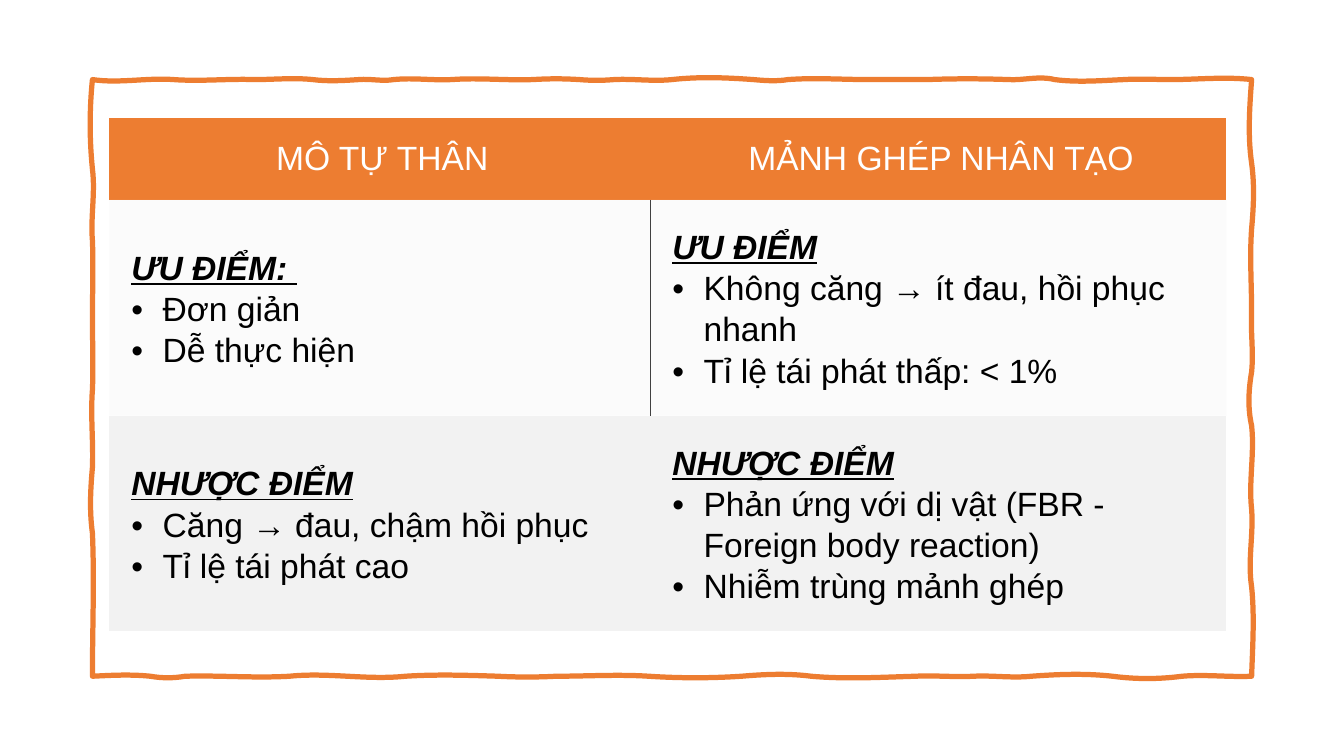
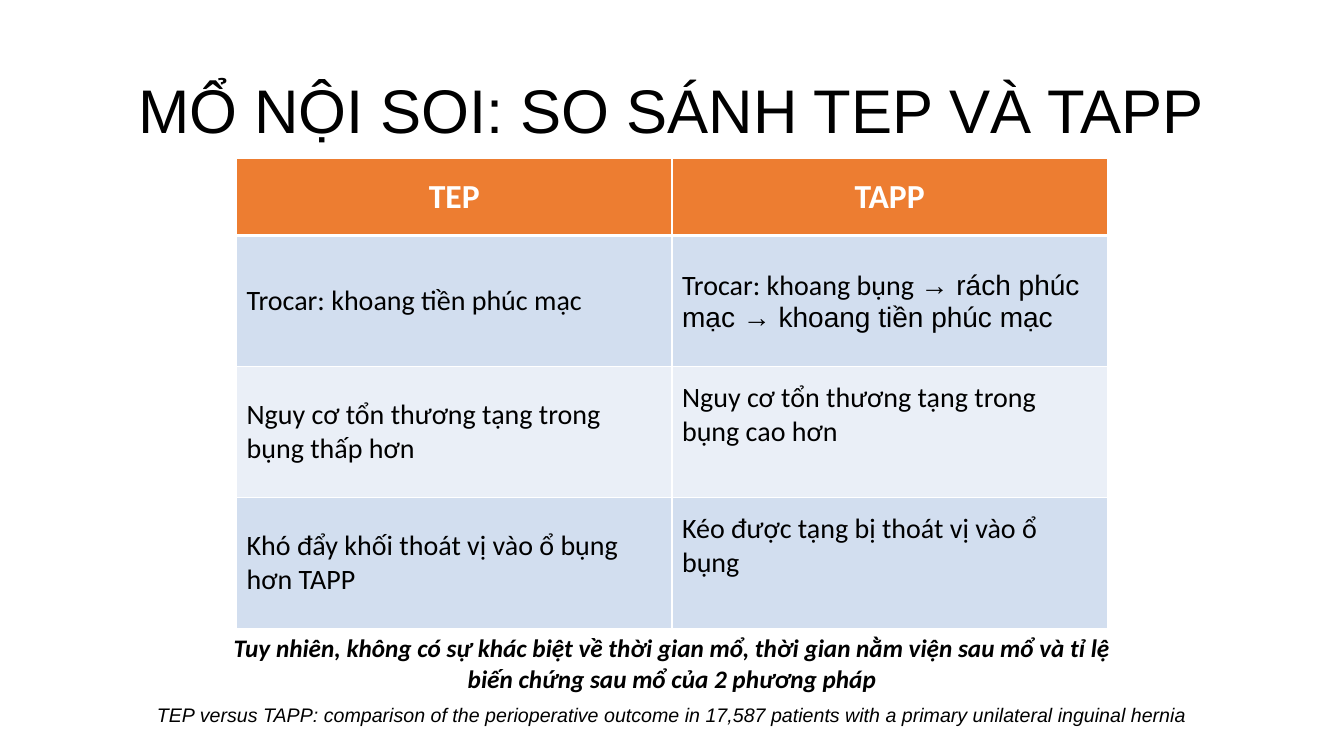
"""Build two slides that compare hernia repair techniques."""
from lxml import etree
from pptx import Presentation
from pptx import util as u
from pptx.dml.color import RGBColor
from pptx.enum import text
from pptx.oxml.ns import qn

ORANGE = RGBColor(0xED, 0x7D, 0x31)
WHITE = RGBColor(0xFF, 0xFF, 0xFF)
BLACK = RGBColor(0, 0, 0)
GREY = RGBColor(0xF2, 0xF2, 0xF2)
RULE = RGBColor(0x40, 0x40, 0x40)
BLUE = RGBColor(0xD2, 0xDE, 0xEF)
PALE_BLUE = RGBColor(0xEA, 0xEF, 0xF7)
SANS, BODY = "Arial", "Calibri"
CENTER = text.PP_ALIGN.CENTER
MIDDLE = text.MSO_ANCHOR.MIDDLE

WIDTH, HEIGHT = u.Inches(40 / 3), u.Inches(7.5)
COLUMN, ROW = WIDTH / 100, HEIGHT / 100

FRAME_BOX = (6.88, 10.53, 86.25, 78.93)
BOTTOM_WAVE = [(5, -1, -2), (8, 2, 2), (17, -1, 2), (22, -2, -1), (27, 1, 2), (35, -2, -1),
               (40, 1, 1), (48, 0, -2), (56, 2, 2), (62, -2, -3), (71, 3, 1), (76, -1, 1),
               (81, -1, 2), (88, -2, -3), (94, 3, 3), (100, -2, 1)]
RIGHT_WAVE = [(15, 1, 3), (28, -4, 2), (42, -3, 3), (51, -4, -3), (61, 2, -1), (75, 0, -2),
              (86, 2, 3), (100, -4, -2)]
TOP_WAVE = [(7, -3, 0), (11, 0, -1), (17, 1, 3), (21, -4, 1), (28, -1, -1), (33, 0, 0),
            (40, 0, -2), (43, 2, 1), (50, -2, -3), (55, 2, -1), (58, 1, 1), (62, -1, -1),
            (69, 1, -2), (74, 1, -2), (77, 2, -1), (81, 1, 2), (86, -2, 0), (93, -1, 2),
            (100, -2, 4)]
LEFT_WAVE = [(15, -3, -3), (27, 3, -2), (40, 1, 0), (52, 0, 1), (65, -2, 1), (76, -2, -3),
             (100, 2, 0)]

MESH_HEADS = ["MÔ TỰ THÂN", "MẢNH GHÉP NHÂN TẠO"]
MESH_ROWS = [
    [("ƯU ĐIỂM: ", "Đơn giản", "Dễ thực hiện"),
     ("ƯU ĐIỂM", "Không căng → ít đau, hồi phục nhanh", "Tỉ lệ tái phát thấp: < 1%")],
    [("NHƯỢC ĐIỂM", "Căng → đau, chậm hồi phục", "Tỉ lệ tái phát cao"),
     ("NHƯỢC ĐIỂM", "Phản ứng với dị vật (FBR - Foreign body reaction)",
      "Nhiễm trùng mảnh ghép")],
]
SCOPE_HEADS = ["TEP", "TAPP"]
SCOPE_ROWS = [
    ["Trocar: khoang tiền phúc mạc",
     ("Trocar: khoang bụng ", "→ rách phúc mạc → khoang tiền phúc mạc")],
    ["Nguy cơ tổn thương tạng trong bụng thấp hơn", "Nguy cơ tổn thương tạng trong bụng cao hơn"],
    ["Khó đẩy khối thoát vị vào ổ bụng hơn TAPP", "Kéo được tạng bị thoát vị vào ổ bụng"],
]


def place(box):
    """Turn a box in grid columns and rows into slide lengths."""
    left, top, width, height = box
    return [round(n) for n in (left * COLUMN, top * ROW, width * COLUMN, height * ROW)]


def style(para, size, name, color=BLACK, bold=False, italic=False, align=None):
    """Set the font and alignment of a paragraph."""
    para.alignment = align
    font = para.font
    font.size, font.name, font.bold, font.italic = u.Pt(size), name, bold, italic
    font.color.rgb = color


def text_box(page, box, words, size, **look):
    """Place one centred line of text in a box."""
    frame = page.shapes.add_textbox(*place(box)).text_frame
    frame.word_wrap = True
    para = frame.paragraphs[0]
    para.text = words
    style(para, size, SANS, align=CENTER, **look)
    return frame


def add_grid(page, box, widths, heights):
    """Add a plain table whose columns and rows share the box by weight."""
    left, top, width, height = place(box)
    table = page.shapes.add_table(len(heights), len(widths), left, top, width, height).table
    table.first_row = table.horz_banding = False
    for column, weight in zip(table.columns, widths):
        column.width = round(width * weight / sum(widths))
    for row, weight in zip(table.rows, heights):
        row.height = round(height * weight / sum(heights))
    return table


def paint(cell, color, opacity=100):
    """Fill a cell, with an opacity in percent."""
    cell.fill.solid()
    cell.fill.fore_color.rgb = color
    if opacity < 100:
        tint = cell._tc.tcPr.find(qn("a:solidFill")).find(qn("a:srgbClr"))
        etree.SubElement(tint, qn("a:alpha"), val=str(opacity * 1000))


def edge(cell, color, left=0, right=0, top=0, bottom=0):
    """Draw the four borders of a cell, where a zero width hides one."""
    properties = cell._tc.get_or_add_tcPr()
    for index, (side, width) in enumerate(zip("LRTB", (left, right, top, bottom))):
        line = etree.Element(qn("a:ln" + side), w=str(u.Pt(width)))
        if width:
            fill = etree.SubElement(line, qn("a:solidFill"))
            etree.SubElement(fill, qn("a:srgbClr"), val=str(color))
        else:
            etree.SubElement(line, qn("a:noFill"))
        properties.insert(index, line)


def bullet(para, indent):
    """Give a paragraph a round bullet with a hanging indent."""
    properties = para._p.get_or_add_pPr()
    properties.set("marL", str(indent))
    properties.set("indent", str(-indent))
    etree.SubElement(properties, qn("a:buFont"), typeface=SANS)
    etree.SubElement(properties, qn("a:buChar"), char="•")


def wavy_side(start, end, wave):
    """List the curves of one side, each as two controls and an end point."""
    across = (0, 1) if start[1] == end[1] else (1, 0)

    def point(share, offset=0):
        """Find the point at a share of the side, moved off its line."""
        return tuple(round(a + (b - a) * share / 100 + u.Inches(offset / 100) * axis)
                     for a, b, axis in zip(start, end, across))

    curves, last = [], 0
    for stop, first, second in wave:
        third = (stop - last) / 3
        curves.append((point(last + third, first), point(stop - third, second), point(stop)))
        last = stop
    return curves


def sketch_frame(page, box):
    """Draw a hand-drawn outline around the box."""
    left, top, width, height = place(box)
    right, bottom = left + width, top + height
    corners = [(left, bottom), (right, bottom), (right, top), (left, top)]
    waves = (BOTTOM_WAVE, RIGHT_WAVE, TOP_WAVE, LEFT_WAVE)
    curves = [curve for start, end, wave in zip(corners, corners[1:] + corners[:1], waves)
              for curve in wavy_side(start, end, wave)]
    builder = page.shapes.build_freeform(*corners[0])
    builder.add_line_segments([curve[-1] for curve in curves], close=True)
    shape = builder.convert_to_shape()
    for segment, curve in zip(list(shape._element.iter(qn("a:lnTo"))), curves):
        segment.tag = qn("a:cubicBezTo")
        for index, (x, y) in enumerate(curve[:2]):
            control = etree.Element(qn("a:pt"), x=str(x - left), y=str(y - top))
            segment.insert(index, control)
    shape.shadow.inherit = False
    shape.fill.background()
    shape.line.color.rgb = ORANGE
    shape.line.width = u.Pt(3.75)


def pad(cell):
    """Centre the text of a cell vertically inside wide margins."""
    cell.vertical_anchor = MIDDLE
    cell.margin_left = u.Inches(0.22)
    cell.margin_right = cell.margin_top = cell.margin_bottom = u.Inches(0.17)


def mesh_table(page, box):
    """Fill the table of advantages and drawbacks."""
    table = add_grid(page, box, (5.37, 5.72), (0.81, 2.14, 2.14))
    for column, head in enumerate(MESH_HEADS):
        cell = table.cell(0, column)
        pad(cell)
        cell.text = head
        style(cell.text_frame.paragraphs[0], 24, SANS, WHITE, align=CENTER)
        paint(cell, ORANGE)
        edge(cell, RULE)
    for row, entries in enumerate(MESH_ROWS, 1):
        for column, lines in enumerate(entries):
            cell = table.cell(row, column)
            pad(cell)
            cell.text = "\n".join(lines)
            for index, para in enumerate(cell.text_frame.paragraphs):
                para.line_spacing = 1.1
                if index:
                    bullet(para, u.Inches(0.31))
                style(para, 24, SANS, bold=index == 0, italic=index == 0)
                para.font.underline = index == 0
            paint(cell, GREY, 30 if row == 1 else 100)
            divider = 0.5 if row == 1 else 0
            edge(cell, RULE, left=divider * column, right=divider * (1 - column))


def scope_table(page, box):
    """Fill the table that sets the two techniques side by side."""
    table = add_grid(page, box, (1, 1), (0.77, 1.3, 1.3, 1.3))
    rules = (1, 3, 1, 1, 1)
    fills = (ORANGE, BLUE, PALE_BLUE, BLUE)
    for row, entries in enumerate([SCOPE_HEADS, *SCOPE_ROWS]):
        for column, words in enumerate(entries):
            cell = table.cell(row, column)
            cell.vertical_anchor = MIDDLE
            para = cell.text_frame.paragraphs[0]
            if row == 0:
                para.text = words
                style(para, 24, BODY, WHITE, bold=True, align=CENTER)
            elif isinstance(words, tuple):
                style(para, 20, BODY)
                for part, name in zip(words, (BODY, SANS)):
                    span = para.add_run()
                    span.text, span.font.name = part, name
            else:
                para.text = words
                style(para, 20, BODY)
                if row > 1 and column == 1:
                    cell.margin_bottom = u.Inches(0.39)
            paint(cell, fills[row])
            edge(cell, WHITE, 1, 1, rules[row], rules[row + 1])


def remark(page, box, words):
    """Add the one-cell table with the closing remark."""
    cell = add_grid(page, box, (1,), (1,)).cell(0, 0)
    cell.text = words
    style(cell.text_frame.paragraphs[0], 18, BODY, bold=True, italic=True, align=CENTER)
    paint(cell, WHITE)
    edge(cell, WHITE, 1, 1, 1, 3)


def mesh_slide(page):
    """Build the slide on tissue repair and mesh."""
    sketch_frame(page, FRAME_BOX)
    mesh_table(page, (8.13, 15.63, 83.13, 67.9))


def scope_slide(page):
    """Build the slide on the two endoscopic techniques."""
    title = text_box(page, (6.88, 5.33, 86.25, 19.33), "MỔ NỘI SOI: SO SÁNH TEP VÀ TAPP", 44)
    title.vertical_anchor = MIDDLE
    title.paragraphs[0].line_spacing = 0.9
    scope_table(page, (17.6, 20.9, 64.8, 62.27))
    remark(page, (15, 83.15, 70, 13.33),
           "Tuy nhiên, không có sự khác biệt về thời gian mổ, thời gian nằm viện sau mổ "
           "và tỉ lệ biến chứng sau mổ của 2 phương pháp")
    text_box(page, (9.43, 92.36, 81.15, 7.6),
             "TEP versus TAPP: comparison of the perioperative outcome in 17,587 patients "
             "with a primary unilateral inguinal hernia", 14, italic=True)


def main():
    """Build and save the deck."""
    deck = Presentation()
    deck.slide_width, deck.slide_height = WIDTH, HEIGHT
    for build in (mesh_slide, scope_slide):
        build(deck.slides.add_slide(deck.slide_layouts[6]))
    deck.save("out.pptx")


if __name__ == "__main__":
    main()
